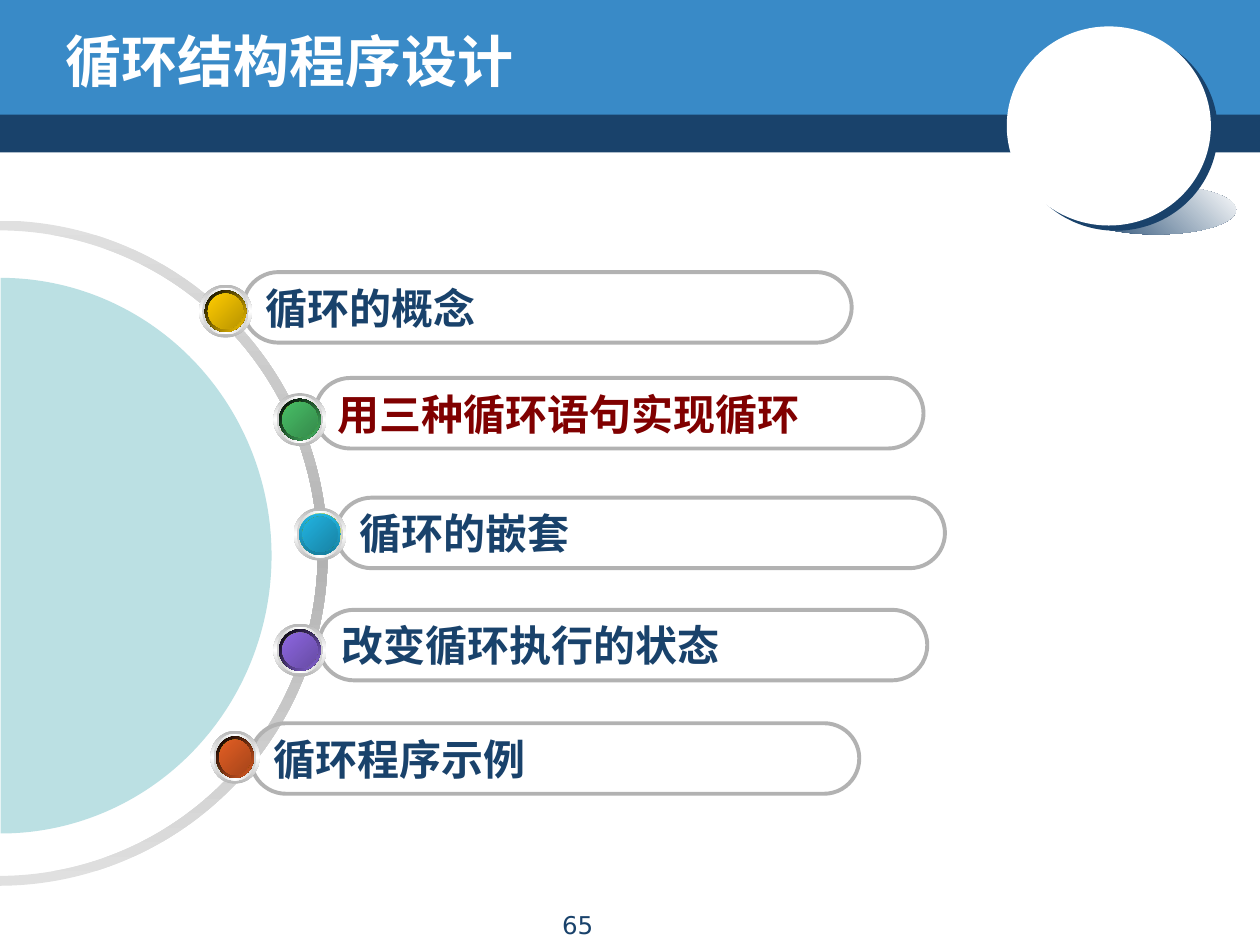
import pptx
import pptx.dml.color
import pptx.enum.shapes
import pptx.enum.text
import pptx.oxml
import pptx.oxml.ns
import pptx.util
from dataclasses import dataclass
from pptx.util import Inches

SHAPE = pptx.enum.shapes.MSO_SHAPE
ANCHOR = pptx.enum.text.MSO_ANCHOR
ALIGN = pptx.enum.text.PP_ALIGN


@dataclass(frozen=True)
class Theme:
    navy: str = "19426B"
    blue: str = "398AC7"
    white: str = "FFFFFF"
    black: str = "000000"
    pale_teal: str = "BBE0E3"
    grey: str = "B2B2B2"
    light_grey: str = "E0E0E0"
    silver: str = "B6B6B6"
    chrome: str = "D1D1D1"
    lime: str = "8BBC00"
    dark_lime: str = "6A9000"
    highlight: str = "800000"
    title_font: str = "Comic Neue"
    topic_font: str = "Noto Sans CJK JP"
    number_font: str = "DejaVu Sans"
    title_size: int = 32
    topic_size: int = 24
    number_size: int = 14
    bar_line: float = 2.25


THEME = Theme()
BAR_SIZE = (4.83, 0.56)

# Text, text colour, bar corner, bead box, rim gradient and angle, face gradient
TOPICS = [
    ("循环的概念", THEME.navy, (1.93, 2.16), (1.58, 2.26, 0.42, 0.42),
     (THEME.black, "FFCC00"), 45, ("FFCC00", "BA9500")),
    ("用三种循环语句实现循环", THEME.highlight, (2.5, 3), (2.17, 3.12, 0.42, 0.42),
     (THEME.black, "48BE67"), 45, ("48BE67", "358B4B")),
    ("循环的嵌套", THEME.navy, (2.67, 3.95), (2.33, 4.03, 0.42, 0.42),
     ("21B3E1", "1880A1"), 90, ("21B3E1", "1883A4")),
    ("改变循环执行的状态", THEME.navy, (2.53, 4.84), (2.17, 4.95, 0.42, 0.42),
     (THEME.black, "8D67E1"), 45, ("8D67E1", "674BA4")),
    ("循环程序示例", THEME.navy, (1.99, 5.74), (1.67, 5.8, 0.39, 0.42),
     (THEME.black, "E35E23"), 45, ("E35E23", "A6451A")),
]


def rgb(colour):
    return pptx.dml.color.RGBColor.from_string(colour)


def apply_format(target, values):
    for name, value in values.items():
        setattr(target, name, value)


def fill_gradient(shape, colours, angle):
    """Spread the colours evenly along a clockwise angle in degrees."""
    step = 100000 // (len(colours) - 1)
    stops = "".join(
        f'<a:gs pos="{i * step}"><a:srgbClr val="{colour}"/></a:gs>'
        for i, colour in enumerate(colours))
    gradient = pptx.oxml.parse_xml(
        f'<a:gradFill {pptx.oxml.ns.nsdecls("a")} rotWithShape="1">'
        f'<a:gsLst>{stops}</a:gsLst>'
        f'<a:lin ang="{angle * 60000}" scaled="0"/></a:gradFill>')
    geometry = shape._element.spPr.find(pptx.oxml.ns.qn("a:prstGeom"))
    geometry.addnext(gradient)


def add_form(slide, kind, box, colour=None):
    form = slide.shapes.add_shape(kind, *map(Inches, box))
    form.shadow.inherit = False
    form.line.fill.background()
    if colour:
        form.fill.solid()
        form.fill.fore_color.rgb = rgb(colour)
    return form


def add_shadow(shape, colour, distance, angle):
    effects = shape._element.spPr.find(pptx.oxml.ns.qn("a:effectLst"))
    effects.append(pptx.oxml.parse_xml(
        f'<a:outerShdw {pptx.oxml.ns.nsdecls("a")} blurRad="0" '
        f'dist="{pptx.util.Pt(distance)}" dir="{angle * 60000}" algn="ctr" '
        f'rotWithShape="0"><a:srgbClr val="{colour}"/></a:outerShdw>'))


def write_text(shape, text, font, size, colour, bold, align, frame_format):
    frame = shape.text_frame
    apply_format(frame, frame_format)
    paragraph = frame.paragraphs[0]
    paragraph.alignment = align
    run = paragraph.add_run()
    run.text = text
    apply_format(run.font, {"name": font, "size": pptx.util.Pt(size), "bold": bold})
    run.font.color.rgb = rgb(colour)
    run._r.get_or_add_rPr().append(pptx.oxml.parse_xml(
        f'<a:ea {pptx.oxml.ns.nsdecls("a")} typeface="{THEME.topic_font}"/>'))


def add_banner(slide):
    add_form(slide, SHAPE.RECTANGLE, (0, 0.87, 10, 0.34), THEME.navy)
    add_form(slide, SHAPE.RECTANGLE, (0, 0, 10, 0.91), THEME.blue)
    ground_shade = add_form(slide, SHAPE.OVAL, (8.54, 1.47, 1.27, 0.39))
    fill_gradient(ground_shade, (THEME.navy, THEME.white), 315)
    ball = add_form(slide, SHAPE.OVAL, (7.99, 0.21, 1.62, 1.58), THEME.white)
    add_shadow(ball, THEME.navy, 5, 37)
    add_form(slide, SHAPE.OVAL, (8.54, 0.68, 0.57, 0.59), THEME.white)


def add_title(slide, text):
    title = slide.shapes.title
    left, top, width, height = map(Inches, (0.42, 0.17, 8.08, 0.62))
    apply_format(title, {"left": left, "top": top, "width": width, "height": height})
    write_text(title, text, THEME.title_font, THEME.title_size, THEME.white, True,
               ALIGN.LEFT, {"vertical_anchor": ANCHOR.MIDDLE, "word_wrap": True})
    # Bring the title in front of the banner
    slide.shapes._spTree.append(title._element)


def add_half_ring(slide, box, thickness, colour=None):
    ring = add_form(slide, SHAPE.BLOCK_ARC, box, colour)
    ring.rotation = 90
    ring.adjustments[2] = thickness
    return ring


def add_bead(slide, box, rim, rim_angle, face):
    left, top, width, height = box
    layers = [
        (0, (THEME.silver, THEME.white, THEME.silver), 90),
        (0.05, (THEME.chrome, THEME.white, THEME.chrome), 0),
        (0.09, (THEME.white, THEME.lime, THEME.white), 45),
        (0.09, rim, rim_angle),
        (0.14, (THEME.dark_lime, THEME.lime, THEME.dark_lime), 315),
        (0.14, face, 45),
    ]
    for trim, colours, angle in layers:
        layer = add_form(slide, SHAPE.OVAL, (left + trim / 2, top + trim / 2,
                                             width - trim, height - trim))
        fill_gradient(layer, colours, angle)


def add_topic_bar(slide, text, colour, corner):
    bar = add_form(slide, SHAPE.ROUNDED_RECTANGLE, corner + BAR_SIZE)
    bar.adjustments[0] = 0.5
    bar.fill.background()
    bar.line.color.rgb = rgb(THEME.grey)
    bar.line.width = pptx.util.Pt(THEME.bar_line)
    write_text(bar, text, THEME.topic_font, THEME.topic_size, colour, True,
               ALIGN.LEFT, {"vertical_anchor": ANCHOR.MIDDLE, "word_wrap": False})


def add_page_number(slide, number):
    page = slide.shapes.add_textbox(*map(Inches, (3.42, 7.17, 2.33, 0.26)))
    write_text(page, number, THEME.number_font, THEME.number_size, THEME.navy, False,
               ALIGN.CENTER, {"vertical_anchor": ANCHOR.TOP, "word_wrap": True})


def main():
    deck = pptx.Presentation()
    apply_format(deck, {"slide_width": Inches(10), "slide_height": Inches(7.5)})
    slide = deck.slides.add_slide(deck.slide_layouts[5])

    # Header
    add_banner(slide)
    add_title(slide, "循环结构程序设计")

    # Half rings at the left edge
    track = add_half_ring(slide, (-2.65, 1.78, 5.28, 5.22), 0.015)
    fill_gradient(track, (THEME.light_grey, THEME.grey, THEME.light_grey), 0)
    add_half_ring(slide, (-2.2, 2.26, 4.41, 4.3), 0.5, THEME.pale_teal)

    # Topics, each with its bead
    for text, colour, corner, bead, rim, rim_angle, face in TOPICS:
        add_topic_bar(slide, text, colour, corner)
        add_bead(slide, bead, rim, rim_angle, face)

    # Footer
    add_page_number(slide, "65")
    deck.save("out.pptx")


if __name__ == "__main__":
    main()
